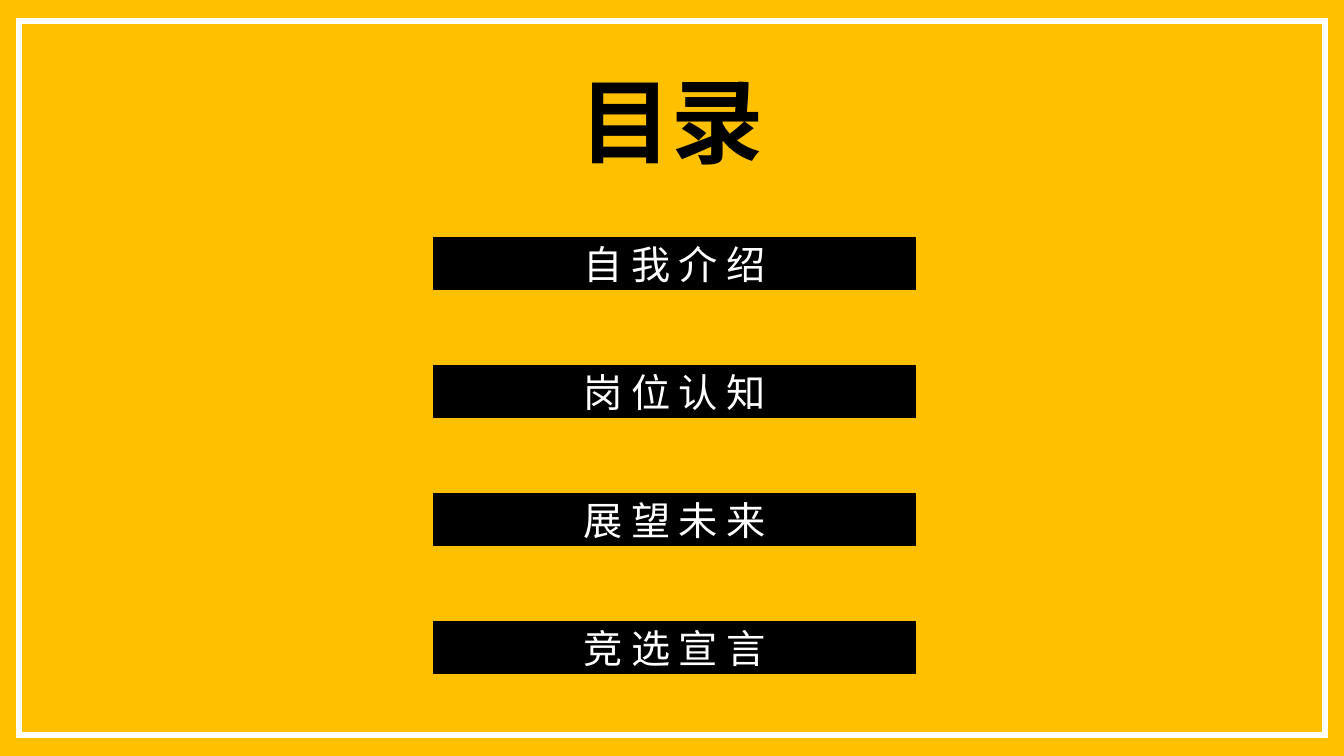
from dataclasses import dataclass

from lxml import etree
from pptx import Presentation
from pptx.dml.color import RGBColor
from pptx.enum.shapes import MSO_SHAPE
from pptx.enum.text import MSO_ANCHOR, MSO_AUTO_SIZE, PP_ALIGN
from pptx.oxml.ns import qn
from pptx.util import Pt

PX = 9144
FRAME, RECT = MSO_SHAPE.FRAME, MSO_SHAPE.RECTANGLE
MIDDLE, CENTER = MSO_ANCHOR.MIDDLE, PP_ALIGN.CENTER
NO_FIT = MSO_AUTO_SIZE.NONE
TITLE_ONLY = 5


@dataclass(frozen=True)
class Theme:
    """Colours, font and type sizes of the deck."""
    yellow: RGBColor = RGBColor(0xFF, 0xC0, 0x00)
    white: RGBColor = RGBColor(0xFF, 0xFF, 0xFF)
    black: RGBColor = RGBColor(0, 0, 0)
    font: str = "Noto Sans CJK SC"
    title: int = 66
    item: int = 28
    item_spacing: int = 6


THEME = Theme()


def emu(box):
    """Turn a box in px into EMU lengths."""
    return [v * PX for v in box]


def write(s, text, size, color, bold=False, spacing=0):
    """Write one centred line of text into a shape."""
    tf = s.text_frame
    tf.word_wrap = True
    tf.auto_size = NO_FIT
    tf.vertical_anchor = MIDDLE
    p = tf.paragraphs[0]
    p.alignment = CENTER
    r = p.add_run()
    r.text = text
    r.font.name = THEME.font
    r.font.size = Pt(size)
    r.font.bold = bold
    r.font.color.rgb = color
    rpr = r.font._element
    rpr.set("spc", str(spacing * 100))
    etree.SubElement(rpr, qn("a:ea")).set("typeface", THEME.font)


def add_block(slide, kind, box, color):
    """Add a flat filled shape."""
    s = slide.shapes.add_shape(kind, *emu(box))
    s.shadow.inherit = False
    s.fill.solid()
    s.fill.fore_color.rgb = color
    return s


def add_border(slide, box):
    """Add the thin white frame around the slide."""
    s = add_block(slide, FRAME, box, THEME.white)
    s.adjustments[0] = 0.008
    s.line.fill.background()


def add_title(slide, box, text):
    """Place the heading in the title placeholder."""
    s = slide.shapes.title
    s.left, s.top, s.width, s.height = emu(box)
    write(s, text, THEME.title, THEME.black, bold=True)


def add_items(slide, box, items, bar_height):
    """Spread one black bar per item evenly down the box."""
    left, top, width, height = box
    pitch = (height - bar_height) // (len(items) - 1)
    for i, item in enumerate(items):
        bar = (left, top + i * pitch, width, bar_height)
        s = add_block(slide, RECT, bar, THEME.black)
        s.line.color.rgb = THEME.black
        s.line.width = Pt(1)
        write(s, item, THEME.item, THEME.white, spacing=THEME.item_spacing)


def build_contents(prs):
    """Build the table of contents slide."""
    slide = prs.slides.add_slide(prs.slide_layouts[TITLE_ONLY])
    slide.background.fill.solid()
    slide.background.fill.fore_color.rgb = THEME.yellow
    add_border(slide, (16, 18, 1301, 714))
    add_title(slide, (470, 58, 392, 121), "目录")
    items = ["自我介绍", "岗位认知", "展望未来", "竞选宣言"]
    add_items(slide, (430, 236, 478, 432), items, bar_height=51)


def main():
    """Create and save the presentation."""
    prs = Presentation()
    prs.slide_width, prs.slide_height = emu((1333, 750))
    build_contents(prs)
    prs.save("out.pptx")


if __name__ == "__main__":
    main()
